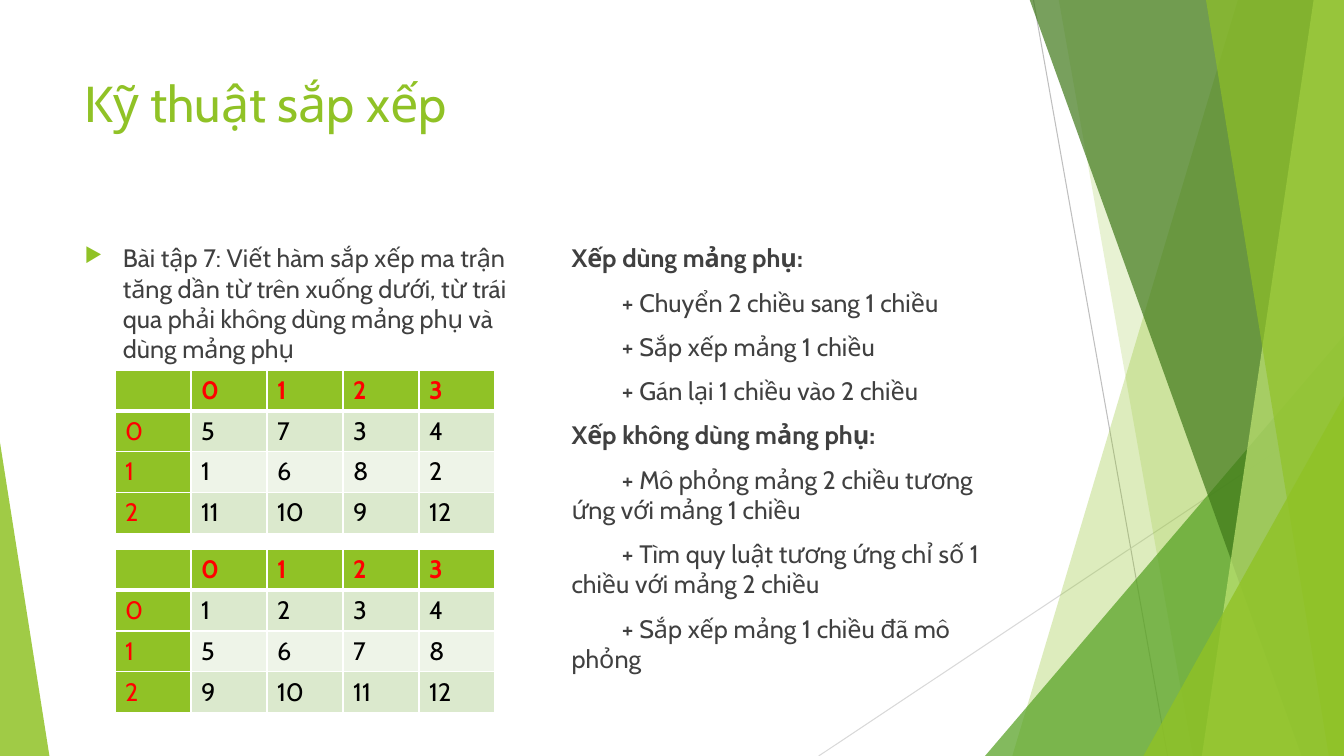
import pptx
import pptx.util
import pptx.dml.color
import pptx.enum.shapes
import pptx.enum.text
import pptx.oxml
import pptx.oxml.ns
import lxml.etree

Inches = pptx.util.Inches
Pt = pptx.util.Pt
FONT = "Cabin"
GREEN, GRAY, RED, BLACK, WHITE = "90C226", "404040", "FF0000", "000000", "FFFFFF"
BANDS = ("DBE9CD", "EEF4E8")
TABLE_LEFT, TABLE_WIDTH, TABLE_HEIGHT = 1.14, 3.77, 1.62
UNSORTED = [[5, 7, 3, 4], [1, 6, 8, 2], [11, 10, 9, 12]]
SORTED = [[1, 2, 3, 4], [5, 6, 7, 8], [9, 10, 11, 12]]
METHODS = [
    ("Xếp dùng mảng phụ:", [
        "+ Chuyển 2 chiều sang 1 chiều",
        "+ Sắp xếp mảng 1 chiều",
        "+ Gán lại 1 chiều vào 2 chiều"]),
    ("Xếp không dùng mảng phụ:", [
        "+ Mô phỏng mảng 2 chiều tương ứng với mảng 1 chiều",
        "+ Tìm quy luật tương ứng chỉ số 1 chiều với mảng 2 chiều",
        "+ Sắp xếp mảng 1 chiều đã mô phỏng"]),
]


def color(value):
    return pptx.dml.color.RGBColor.from_string(value)


def add_xml(parent, tag, **attributes):
    return lxml.etree.SubElement(parent, pptx.oxml.ns.qn(tag), **attributes)


def paint(shape, fill, opacity):
    shape.shadow.inherit = False
    shape.line.fill.background()
    shape.fill.solid()
    shape.fill.fore_color.rgb = color(fill)
    choice = shape.fill._xPr.find(pptx.oxml.ns.qn("a:solidFill"))
    add_xml(choice[0], "a:alpha", val=str(opacity * 1000))


def add_line(slide, start, end, line_color):
    points = [Inches(value) for value in start + end]
    line = slide.shapes.add_connector(pptx.enum.shapes.MSO_CONNECTOR.STRAIGHT, *points)
    line.line.color.rgb = color(line_color)
    line.line.width = Pt(0.75)
    add_xml(line._element.spPr, "a:effectLst")


def add_facet(slide, top_left, bottom_left, fill, opacity):
    corners = [(top_left, -0.01), (13.33, -0.01), (13.33, 7.5), (bottom_left, 7.5)]
    points = [(Inches(x), Inches(y)) for x, y in corners]
    builder = slide.shapes.build_freeform(*points[0], scale=1.0)
    builder.add_line_segments(points[1:], close=True)
    paint(builder.convert_to_shape(), fill, opacity)


def add_triangle(slide, left, top, width, peak, fill, opacity):
    shape = slide.shapes.add_shape(
        pptx.enum.shapes.MSO_SHAPE.ISOSCELES_TRIANGLE,
        Inches(left), Inches(top), Inches(width), Inches(7.5 - top))
    shape.adjustments[0] = peak
    paint(shape, fill, opacity)


def add_text_frame(slide, left, top, width, height):
    box = slide.shapes.add_textbox(Inches(left), Inches(top), Inches(width), Inches(height))
    box.text_frame.word_wrap = True
    return box.text_frame


def write(frame, text, size=18, font_color=GRAY, bold=False, before=0,
          margin=0, indent=0, bullet=None):
    paragraph = frame.paragraphs[0]
    if paragraph.runs:
        paragraph = frame.add_paragraph()
    run = paragraph.add_run()
    run.text = text
    run.font.name = FONT
    run.font.size = Pt(size)
    run.font.bold = bold
    run.font.color.rgb = color(font_color)
    paragraph.space_before = Pt(before)
    properties = paragraph._p.get_or_add_pPr()
    properties.set("marL", str(Inches(margin)))
    properties.set("indent", str(Inches(indent)))
    if bullet:
        add_xml(add_xml(properties, "a:buClr"), "a:srgbClr", val=GREEN)
        add_xml(properties, "a:buSzPct", val="80000")
        add_xml(properties, "a:buChar", char=bullet)


def set_borders(cell, bottom_width):
    properties = cell._tc.get_or_add_tcPr()
    widths = {"a:lnL": 1, "a:lnR": 1, "a:lnT": 1, "a:lnB": bottom_width}
    for position, (tag, width) in enumerate(widths.items()):
        border = add_xml(properties, tag, w=str(Pt(width)))
        add_xml(add_xml(border, "a:solidFill"), "a:srgbClr", val=WHITE)
        properties.insert(position, border)


def add_matrix(slide, top, matrix):
    rows = [["", *range(len(matrix[0]))]]
    rows += [[index, *values] for index, values in enumerate(matrix)]
    table = slide.shapes.add_table(
        len(rows), len(rows[0]), Inches(TABLE_LEFT), Inches(top),
        Inches(TABLE_WIDTH), Inches(TABLE_HEIGHT)).table
    for row_index, values in enumerate(rows):
        for column_index, value in enumerate(values):
            cell = table.cell(row_index, column_index)
            header = row_index == 0
            label = header or column_index == 0
            cell.fill.solid()
            cell.fill.fore_color.rgb = color(GREEN if label else BANDS[(row_index - 1) % 2])
            set_borders(cell, 3 if header else 1)
            if value != "":
                write(cell.text_frame, str(value),
                      font_color=RED if label else BLACK, bold=header)


def add_background(slide):
    add_line(slide, (10.25, 0), (11.58, 7.5), "BFBFBF")
    add_line(slide, (13.33, 4.03), (8.12, 7.5), "D9D9D9")
    add_facet(slide, 12.28, 10.04, GREEN, 30)
    add_facet(slide, 10.5, 11.83, GREEN, 20)
    add_triangle(slide, 9.77, 3.33, 3.56, 1, "54A021", 72)
    add_facet(slide, 10.21, 12.91, "3F7819", 70)
    add_facet(slide, 13.03, 11.92, "C0E474", 70)
    add_facet(slide, 11.96, 13.18, GREEN, 65)
    add_triangle(slide, 11.34, 3.93, 1.99, 1, GREEN, 80)
    add_triangle(slide, 0, 4.39, 0.49, 0, GREEN, 85)


def main():
    presentation = pptx.Presentation()
    presentation.slide_width = Inches(13.33)
    presentation.slide_height = Inches(7.5)
    slide = presentation.slides.add_slide(presentation.slide_layouts[6])
    add_background(slide)

    title = add_text_frame(slide, 0.74, 0.67, 9.4, 1.44)
    write(title, "Kỹ thuật sắp xếp", size=36, font_color=GREEN)

    exercise = add_text_frame(slide, 0.74, 2.36, 4.58, 4.24)
    write(exercise,
          "Bài tập 7: Viết hàm sắp xếp ma trận tăng dần từ trên xuống dưới, "
          "từ trái qua phải không dùng mảng phụ và dùng mảng phụ",
          before=10, margin=0.38, indent=-0.38, bullet="▶")

    methods = add_text_frame(slide, 5.57, 2.36, 4.58, 4.57)
    for heading, steps in METHODS:
        write(methods, heading, bold=True, before=10)
        for step in steps:
            write(methods, step, before=10, indent=0.5)

    add_matrix(slide, 3.67, UNSORTED)
    add_matrix(slide, 5.45, SORTED)
    presentation.save("out.pptx")


main()
